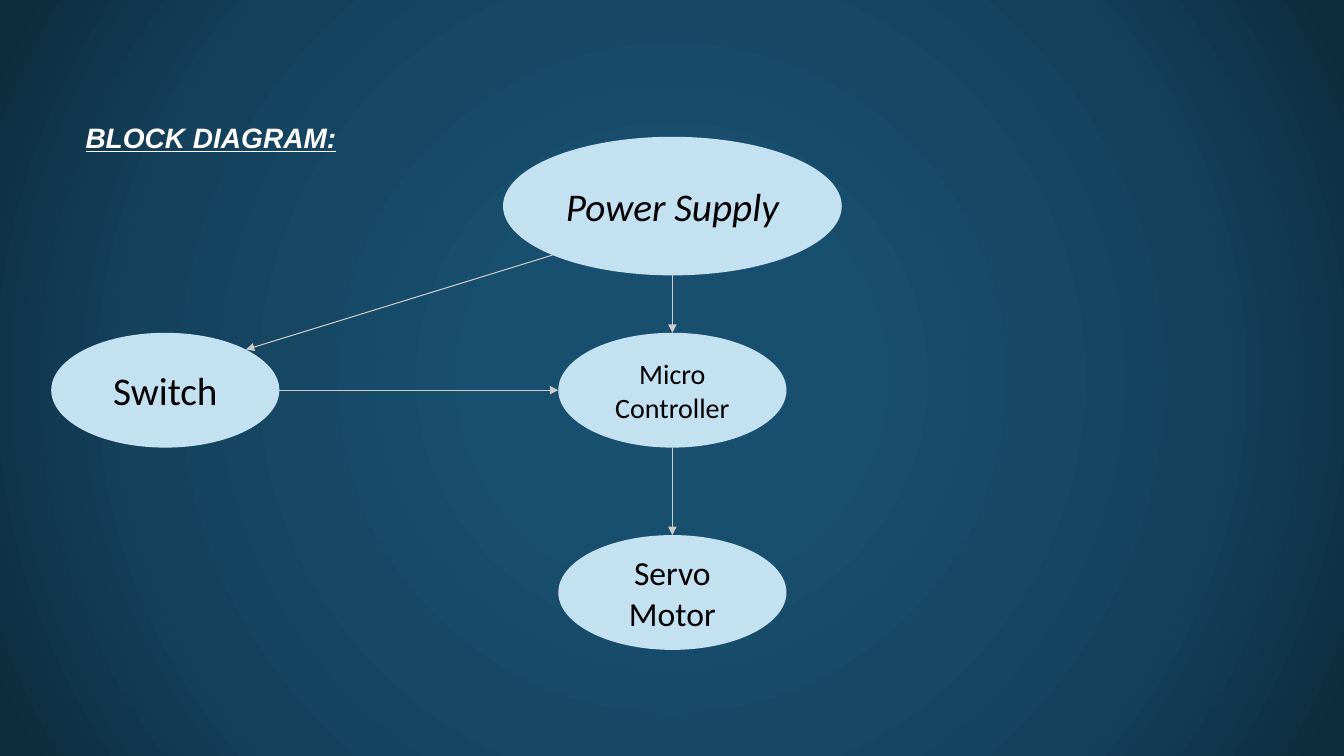
"""Build the block diagram slide: power supply, switch, controller and motor."""
import math

import pptx
import pptx.util
import pptx.oxml
import pptx.oxml.ns
import pptx.dml.color
import pptx.enum.shapes
import pptx.enum.text

Pt = pptx.util.Pt
MSO_SHAPE = pptx.enum.shapes.MSO_SHAPE
PP_ALIGN = pptx.enum.text.PP_ALIGN

COLORS = {
    "center": "184E6E", "middle": "14425D", "edge": "0E2C3E",
    "block": "C4E1F2", "arrow": "CCCCCC", "title": "FFFFFF", "label": "000000",
}
GRADIENT = [(0, "center"), (23, "center"), (69, "middle"), (97, "edge")]
TITLE = "BLOCK DIAGRAM:"
TITLE_BOX = (54, 48.2, 854, 99.4)
LARGE, SMALL = (242, 99), (163, 82)
BLOCKS = {
    "power": ("Power Supply", (480.3, 147.2), LARGE, 28, True),
    "switch": ("Switch", (118.1, 278.7), SMALL, 28, False),
    "controller": ("Micro Controller", (480.3, 278.7), SMALL, 20, False),
    "motor": ("Servo Motor", (480.3, 423.2), SMALL, 24, False),
}
ARROWS = [
    ("power", 135, "switch", -45),
    ("switch", 0, "controller", 180),
    ("power", 90, "controller", -90),
    ("controller", 90, "motor", -90),
]


def rgb(name):
    return pptx.dml.color.RGBColor.from_string(COLORS[name])


def write(shape, text, size, color, font="Calibri", align=PP_ALIGN.CENTER,
          bold=False, italic=False, underline=False):
    tf = shape.text_frame
    tf.word_wrap = True
    tf.vertical_anchor = pptx.enum.text.MSO_ANCHOR.MIDDLE
    p = tf.paragraphs[0]
    p.alignment = align
    r = p.add_run()
    r.text = text
    r.font.name, r.font.size = font, Pt(size)
    r.font.bold, r.font.italic, r.font.underline = bold, italic, underline
    r.font.color.rgb = rgb(color)


def paint_background(s):
    s.background.fill.solid()
    bg = s.element.find(".//" + pptx.oxml.ns.qn("p:bgPr"))
    stops = "".join(
        f'<a:gs pos="{pos * 1000}"><a:srgbClr val="{COLORS[name]}"/></a:gs>'
        for pos, name in GRADIENT)
    bg.replace(bg[0], pptx.oxml.parse_xml(
        f'<a:gradFill {pptx.oxml.ns.nsdecls("a")} rotWithShape="1">'
        f'<a:gsLst>{stops}</a:gsLst><a:path path="circle">'
        '<a:fillToRect l="50000" t="50000" r="50000" b="50000"/>'
        '</a:path></a:gradFill>'))


def add_block(s, text, center, size, font_size, italic):
    (x, y), (w, h) = center, size
    sp = s.shapes.add_shape(MSO_SHAPE.OVAL, Pt(x - w / 2), Pt(y - h / 2), Pt(w), Pt(h))
    sp.shadow.inherit = False
    sp.fill.solid()
    sp.fill.fore_color.rgb = rgb("block")
    sp.line.fill.background()
    write(sp, text, font_size, "label", italic=italic)


def rim_point(block, degrees):
    _, (x, y), (w, h), _, _ = BLOCKS[block]
    angle = math.radians(degrees)
    return Pt(x + w / 2 * math.cos(angle)), Pt(y + h / 2 * math.sin(angle))


def add_arrow(s, source, source_angle, target, target_angle):
    cxn = s.shapes.add_connector(
        pptx.enum.shapes.MSO_CONNECTOR.STRAIGHT,
        *rim_point(source, source_angle), *rim_point(target, target_angle))
    cxn.line.color.rgb = rgb("arrow")
    cxn.line.width = Pt(0.75)
    ns = pptx.oxml.ns.nsdecls("a")
    cxn.line._get_or_add_ln().append(
        pptx.oxml.parse_xml(f'<a:tailEnd {ns} type="triangle"/>'))
    cxn._element.spPr.append(pptx.oxml.parse_xml(f"<a:effectLst {ns}/>"))


def main():
    prs = pptx.Presentation()
    prs.slide_width, prs.slide_height = Pt(960), Pt(540)
    s = prs.slides.add_slide(prs.slide_layouts[6])
    paint_background(s)
    title = s.shapes.add_textbox(*map(Pt, TITLE_BOX))
    write(title, TITLE, 20, "title", font="Arial", align=PP_ALIGN.LEFT,
          bold=True, italic=True, underline=True)
    for block in BLOCKS.values():
        add_block(s, *block)
    for arrow in ARROWS:
        add_arrow(s, *arrow)
    prs.save("out.pptx")


if __name__ == "__main__":
    main()
